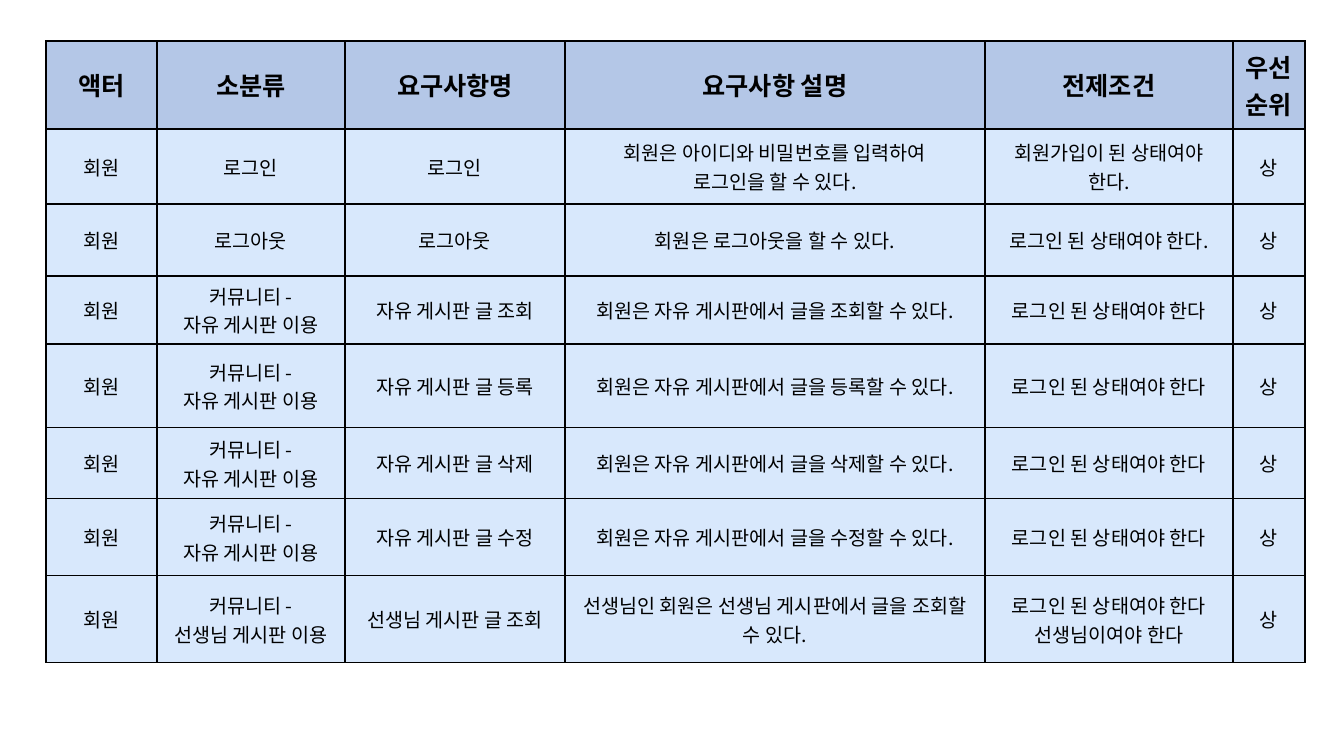
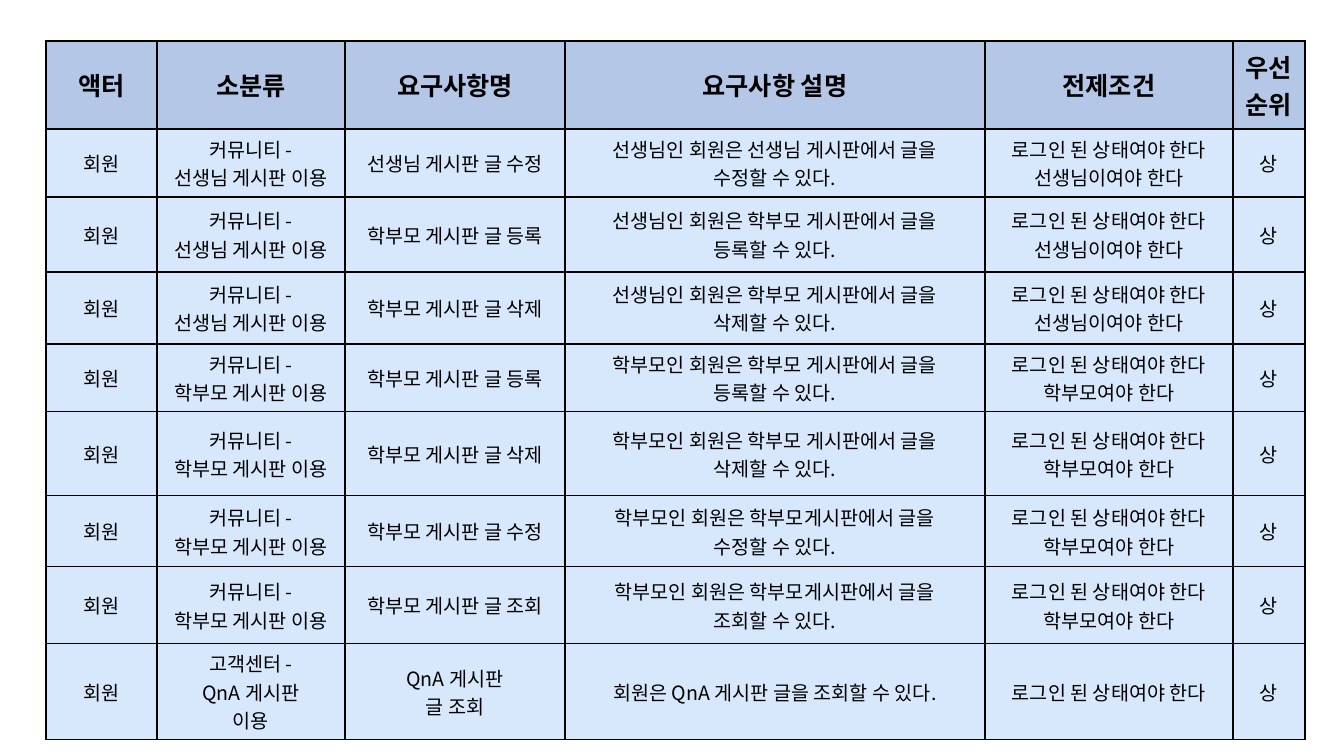
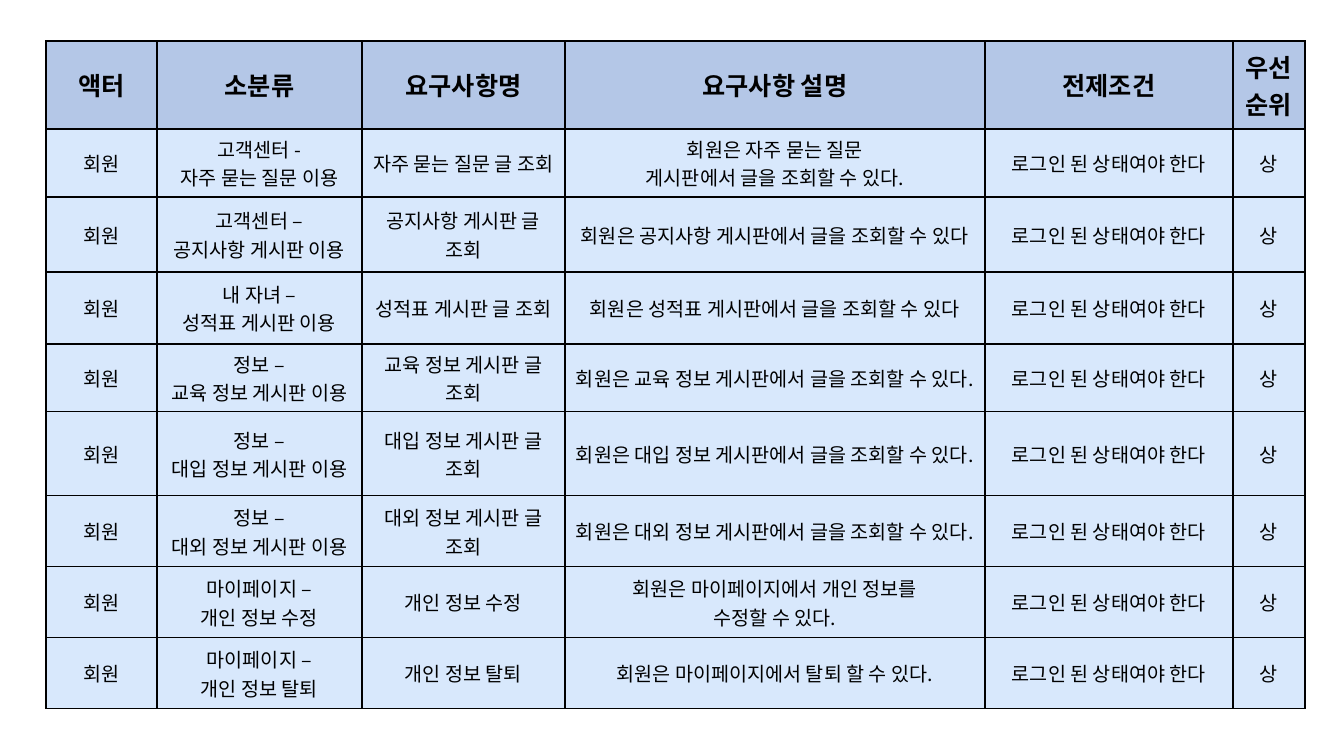
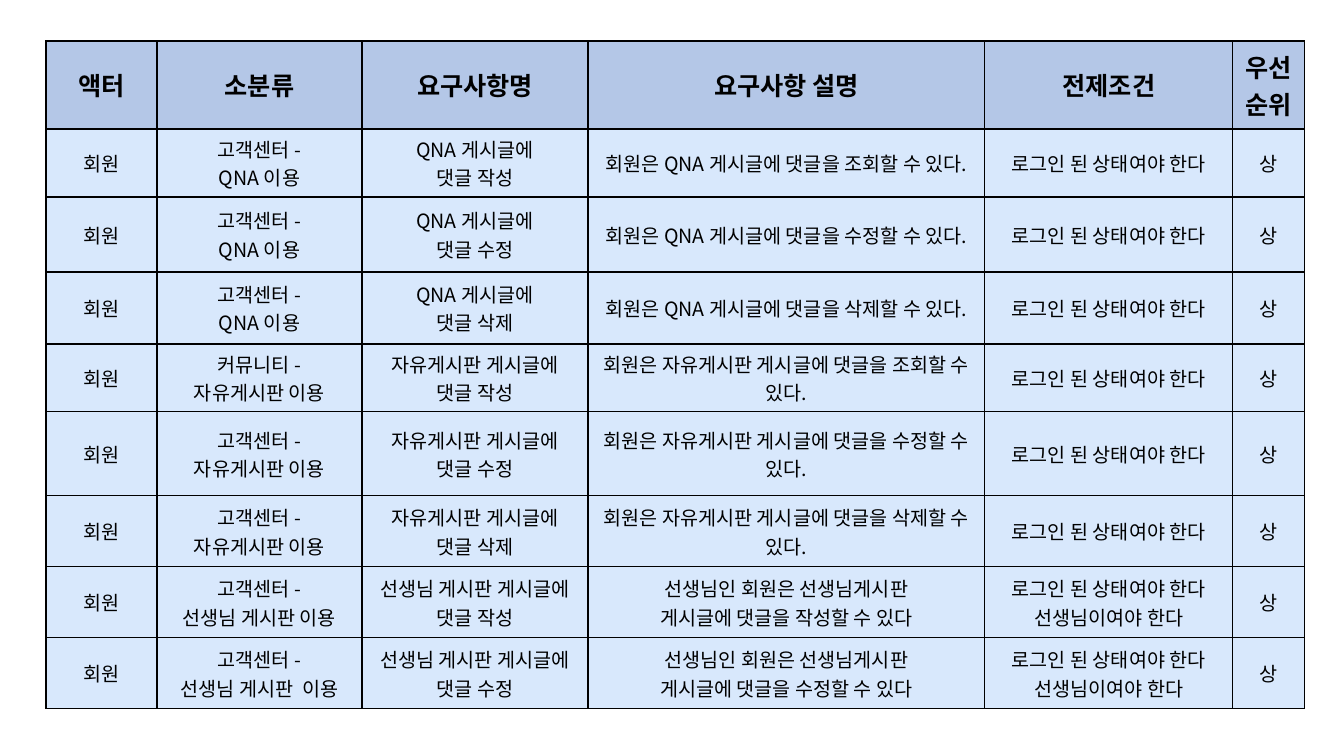
from lxml.etree import SubElement
from pptx import Presentation
from pptx.dml.color import RGBColor
from pptx.enum.text import MSO_ANCHOR, PP_ALIGN
from pptx.oxml.ns import qn
from pptx.util import Emu, Pt

COLORS = {"header": "B4C7E7", "body": "D8E8FC", "ink": "000000"}
FONT = "Noto Sans CJK KR"
EMU_PER_PX = 12192000 / 1344

HEADERS = ["액터", "소분류", "요구사항명", "요구사항 설명", "전제조건", "우선순위"]
ACTOR, PRIORITY = "회원", "상"
LOGIN = "로그인 된 상태여야 한다"
TEACHER = LOGIN + "\n선생님이여야 한다"
PARENT = LOGIN + "\n학부모여야 한다"

FREE_BOARD = "커뮤니티 -\n자유 게시판 이용"
TEACHER_BOARD = "커뮤니티 -\n선생님 게시판 이용"
PARENT_BOARD = "커뮤니티 -\n학부모 게시판 이용"
HELP_QNA = "고객센터 -\nQNA 이용"
HELP_FREE = "고객센터 -\n자유게시판 이용"

MEMBER_ROWS = [
    ("로그인", "로그인", "회원은 아이디와 비밀번호를 입력하여\n로그인을 할 수 있다.",
     "회원가입이 된 상태여야\n한다."),
    ("로그아웃", "로그아웃", "회원은 로그아웃을 할 수 있다.", LOGIN + "."),
    *[(FREE_BOARD, f"자유 게시판 글 {action}",
       f"회원은 자유 게시판에서 글을 {action}할 수 있다.", LOGIN)
      for action in ("조회", "등록", "삭제", "수정")],
    (TEACHER_BOARD, "선생님 게시판 글 조회",
     "선생님인 회원은 선생님 게시판에서 글을 조회할 수 있다.", TEACHER),
]

BOARD_ROWS = [
    *[(TEACHER_BOARD, f"{board} 게시판 글 {action}",
       f"선생님인 회원은 {board} 게시판에서 글을\n{action}할 수 있다.", TEACHER)
      for board, action in (("선생님", "수정"), ("학부모", "등록"), ("학부모", "삭제"))],
    *[(PARENT_BOARD, f"학부모 게시판 글 {action}",
       f"학부모인 회원은 {board}에서 글을\n{action}할 수 있다.", PARENT)
      for board, action in (("학부모 게시판", "등록"), ("학부모 게시판", "삭제"),
                            ("학부모게시판", "수정"), ("학부모게시판", "조회"))],
    ("고객센터 -\nQnA 게시판\n이용", "QnA 게시판\n글 조회",
     "회원은 QnA 게시판 글을 조회할 수 있다.", LOGIN),
]

INFO_ROWS = [
    ("고객센터 -\n자주 묻는 질문 이용", "자주 묻는 질문 글 조회",
     "회원은 자주 묻는 질문\n게시판에서 글을 조회할 수 있다.", LOGIN),
    ("고객센터 –\n공지사항 게시판 이용", "공지사항 게시판 글\n조회",
     "회원은 공지사항 게시판에서 글을 조회할 수 있다", LOGIN),
    ("내 자녀 –\n성적표 게시판 이용", "성적표 게시판 글 조회",
     "회원은 성적표 게시판에서 글을 조회할 수 있다", LOGIN),
    *[(f"정보 –\n{topic} 정보 게시판 이용", f"{topic} 정보 게시판 글 조회",
       f"회원은 {topic} 정보 게시판에서 글을 조회할 수 있다.", LOGIN)
      for topic in ("교육", "대입", "대외")],
    ("마이페이지 –\n개인 정보 수정", "개인 정보 수정",
     "회원은 마이페이지에서 개인 정보를\n수정할 수 있다.", LOGIN),
    ("마이페이지 –\n개인 정보 탈퇴", "개인 정보 탈퇴",
     "회원은 마이페이지에서 탈퇴 할 수 있다.", LOGIN),
]

COMMENT_ROWS = [
    *[(HELP_QNA, f"QNA 게시글에\n댓글 {name}",
       f"회원은 QNA 게시글에 댓글을 {action}할 수 있다.", LOGIN)
      for name, action in (("작성", "조회"), ("수정", "수정"), ("삭제", "삭제"))],
    *[(category, f"자유게시판 게시글에\n댓글 {name}",
       f"회원은 자유게시판 게시글에 댓글을 {action}할 수 있다.", LOGIN)
      for category, name, action in (("커뮤니티 -\n자유게시판 이용", "작성", "조회"),
                                     (HELP_FREE, "수정", "수정"),
                                     (HELP_FREE, "삭제", "삭제"))],
    *[(f"고객센터 -\n{category}", f"선생님 게시판 게시글에\n댓글 {action}",
       f"선생님인 회원은 선생님게시판\n게시글에 댓글을 {action}할 수 있다", TEACHER)
      for category, action in (("선생님 게시판 이용", "작성"),
                               ("선생님 게시판  이용", "수정"))],
]

WIDE_NAME = [111, 188, 220, 420, 248, 72]
WIDE_CATEGORY = [111, 205, 203, 420, 248, 72]
WIDE_BOTH = [111, 205, 226, 397, 248, 72]
LONG_HEIGHTS = [68, 75, 72, 68, 84, 71]

PAGES = [
    (MEMBER_ROWS, WIDE_NAME, [75, 72, 68, 84, 71, 77, 87]),
    (BOARD_ROWS, WIDE_NAME, LONG_HEIGHTS + [77, 88]),
    (INFO_ROWS, WIDE_CATEGORY, LONG_HEIGHTS + [71, 71]),
    (COMMENT_ROWS, WIDE_BOTH, LONG_HEIGHTS + [71, 71]),
]


def px(length):
    return Emu(round(length * EMU_PER_PX))


def write_text(frame, text, size=14, bold=False, color="ink", align=PP_ALIGN.CENTER):
    frame.text = text
    for para in frame.paragraphs:
        para.alignment = align
        for span in para.runs:
            font = span.font
            font.name, font.size, font.bold = FONT, Pt(size), bold
            font.color.rgb = RGBColor.from_string(COLORS[color])
            SubElement(font._element, qn("a:ea"), typeface=FONT)


class Deck:
    """Holds the shared style and the current slide."""

    header_height = 88
    left, top = 46, 41

    def __init__(self):
        self.deck = Presentation()
        self.deck.slide_width, self.deck.slide_height = px(1344), px(756)
        self.page = None

    def new_page(self):
        self.page = self.deck.slides.add_slide(self.deck.slide_layouts[6])

    def border(self, cell):
        properties = cell._tc.get_or_add_tcPr()
        for side in ("lnL", "lnR", "lnT", "lnB"):
            line = SubElement(properties, qn(f"a:{side}"), w=str(Pt(1)))
            fill = SubElement(line, qn("a:solidFill"))
            SubElement(fill, qn("a:srgbClr"), val=COLORS["ink"])

    def cell(self, cell, text, fill, **style):
        self.border(cell)
        cell.fill.solid()
        cell.fill.fore_color.rgb = RGBColor.from_string(COLORS[fill])
        cell.vertical_anchor = MSO_ANCHOR.MIDDLE
        write_text(cell.text_frame, text, **style)

    def requirements(self, rows, widths, body_heights):
        heights = [self.header_height] + body_heights
        table = self.page.shapes.add_table(
            len(heights), len(widths), px(self.left), px(self.top),
            px(sum(widths)), px(sum(heights))).table
        for column, width in zip(table.columns, widths):
            column.width = px(width)
        for row, height in zip(table.rows, heights):
            row.height = px(height)
        for column, title in enumerate(HEADERS):
            self.cell(table.cell(0, column), title, "header", size=18, bold=True)
        for number, row in enumerate(rows, 1):
            for column, text in enumerate((ACTOR, *row, PRIORITY)):
                self.cell(table.cell(number, column), text, "body")


def main():
    deck = Deck()
    for rows, widths, heights in PAGES:
        deck.new_page()
        deck.requirements(rows, widths, heights)
    deck.deck.save("out.pptx")


if __name__ == "__main__":
    main()
